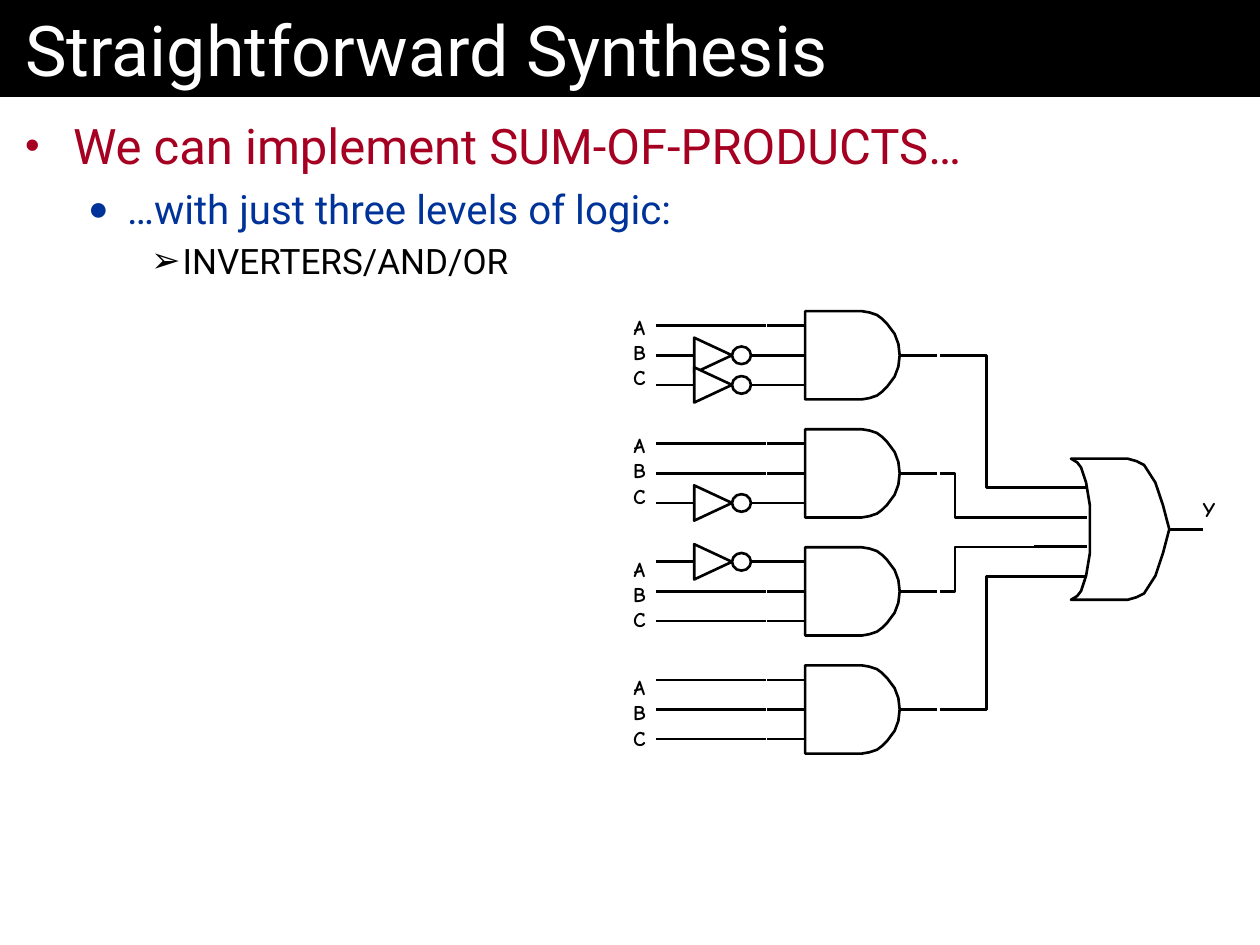
from lxml import etree
from pptx import Presentation
from pptx.dml.color import RGBColor
from pptx.enum.shapes import MSO_CONNECTOR, MSO_SHAPE
from pptx.enum.text import MSO_ANCHOR, MSO_AUTO_SIZE, PP_ALIGN
from pptx.oxml.ns import qn
from pptx.util import Inches, Pt

STRAIGHT = MSO_CONNECTOR.STRAIGHT
OVAL = MSO_SHAPE.OVAL
MIDDLE = MSO_ANCHOR.MIDDLE
NO_FIT = MSO_AUTO_SIZE.NONE
LEFT, CENTER = PP_ALIGN.LEFT, PP_ALIGN.CENTER

COLORS = {"black": "000000", "white": "FFFFFF", "red": "A50021", "blue": "003399"}
C = {name: RGBColor.from_string(value) for name, value in COLORS.items()}

prs = Presentation()
prs.slide_width, prs.slide_height = Inches(10), Inches(7.5)
s = prs.slides.add_slide(prs.slide_layouts[5])


def add_wire(x1, y1, x2, y2):
    wire = s.shapes.add_connector(STRAIGHT, Inches(x1), Inches(y1), Inches(x2), Inches(y2))
    wire.line.color.rgb = C["black"]
    wire.line.width = Pt(1.5)
    etree.SubElement(wire._element.spPr, qn("a:effectLst"))


def add_outline(points, close=True, fill=None):
    pts = [(Inches(x), Inches(y)) for x, y in points]
    fb = s.shapes.build_freeform(*pts[0])
    fb.add_line_segments(pts[1:], close=close)
    sp = fb.convert_to_shape()
    sp.shadow.inherit = False
    if fill:
        sp.fill.solid()
        sp.fill.fore_color.rgb = C[fill]
    else:
        sp.fill.background()
    sp.line.color.rgb = C["black"]
    sp.line.width = Pt(1.5)


title = s.shapes.title
title.left, title.top, title.width, title.height = 0, 0, Inches(10), Inches(0.77)
title.fill.solid()
title.fill.fore_color.rgb = C["black"]
tf = title.text_frame
tf.auto_size = NO_FIT
tf.vertical_anchor = MIDDLE
tf.margin_left = tf.margin_right = Inches(0.2)
p = tf.paragraphs[0]
p.alignment = LEFT
r = p.add_run()
r.text = "Straightforward Synthesis"
r.font.name, r.font.size, r.font.color.rgb = "Roboto", Pt(40), C["white"]

body = s.shapes.add_textbox(0, Inches(0.77), Inches(10), Inches(6.73))
tf = body.text_frame
tf.word_wrap = True
tf.margin_left = tf.margin_right = Inches(0.2)
tf.margin_top = tf.margin_bottom = Inches(0.15)
bullets = [
    ("We can implement SUM-OF-PRODUCTS…", 28, "red", "•", 85, 0.38, 0.38, 0),
    ("…with just three levels of logic:", 23, "blue", "●", 85, 0.81, 0.31, 5.5),
    ("INVERTERS/AND/OR", 20, "black", "➢", 100, 1.25, 0.25, 4),
]
for level, (text, size, color, char, percent, margin, hang, before) in enumerate(bullets):
    p = tf.add_paragraph() if level else tf.paragraphs[0]
    p.level = level
    p.space_before = Pt(before)
    pPr = p._p.get_or_add_pPr()
    pPr.set("marL", str(Inches(margin)))
    pPr.set("indent", str(-Inches(hang)))
    bullet_color = etree.SubElement(pPr, qn("a:buClr"))
    etree.SubElement(bullet_color, qn("a:srgbClr"), val=COLORS[color])
    etree.SubElement(pPr, qn("a:buSzPct"), val=str(percent * 1000))
    etree.SubElement(pPr, qn("a:buFont"), typeface="Arial")
    etree.SubElement(pPr, qn("a:buChar"), char=char)
    r = p.add_run()
    r.text = text
    r.font.name, r.font.size, r.font.color.rgb = "Roboto", Pt(size), C[color]

PITCH = 0.235
GATE_X, OR_Y = 6.39, 4.2
and_half = [(0.75, 0), (0.74, 0.09), (0.71, 0.17), (0.65, 0.25), (0.61, 0.29),
            (0.57, 0.32), (0.51, 0.34), (0.45, 0.35), (0, 0.35)]
or_half = [(9.28, 0), (9.23, 0.19), (9.17, 0.37), (9.08, 0.51), (9.02, 0.54), (8.95, 0.56),
           (8.5, 0.56), (8.55, 0.53), (8.58, 0.49), (8.62, 0.37), (8.65, 0.19), (8.65, 0)]

add_outline([(x, OR_Y - y) for x, y in or_half]
            + [(x, OR_Y + y) for x, y in or_half[-2:0:-1]], fill="white")
add_wire(9.28, OR_Y, 9.55, OR_Y)

inverted_inputs = [{1, 2}, {2}, {0}, set()]
elbows = [(7.83, 8.21), (7.58, 8.33), (7.58, 8.21), (7.83, 8.21)]
label_tops = [2.44, 3.38, 4.36, 5.3]
labels = [("Y", 9.36, 3.89, 0.47, 0.3)]

for i, (inverted, (bend_x, end_x)) in enumerate(zip(inverted_inputs, elbows)):
    gate_y = 2.82 + 4 * PITCH * i - 0.003 * i
    or_input_y = 3.87 + PITCH * i
    add_outline([(GATE_X + x, gate_y - y) for x, y in and_half]
                + [(GATE_X + x, gate_y + y) for x, y in and_half[:0:-1]])
    add_wire(7.14, gate_y, 7.44, gate_y)
    add_outline([(7.46, gate_y), (bend_x, gate_y), (bend_x, or_input_y), (end_x, or_input_y)],
                close=False)
    add_wire(8.21, or_input_y, 8.63, or_input_y)
    for j in range(3):
        y = gate_y + (j - 1) * PITCH
        add_wire(6.09, y, GATE_X, y)
        if j in inverted:
            add_outline([(5.81, y), (5.51, y - 0.14), (5.51, y + 0.14)], fill="white")
            add_wire(5.21, y, 5.51, y)
            add_wire(5.81, y, 6.11, y)
            bubble = s.shapes.add_shape(OVAL, Inches(5.81), Inches(y - 0.07),
                                        Inches(0.15), Inches(0.14))
            bubble.shadow.inherit = False
            bubble.fill.solid()
            bubble.fill.fore_color.rgb = C["white"]
            bubble.line.color.rgb = C["black"]
            bubble.line.width = Pt(1.5)
        else:
            add_wire(5.21, y, 6.08, y)
    labels.append(("ABC", 4.83, label_tops[i], 0.49, 0.71))

for letters, x, y, w, h in labels:
    box = s.shapes.add_textbox(Inches(x), Inches(y), Inches(w), Inches(h))
    tf = box.text_frame
    tf.word_wrap = False
    tf.vertical_anchor = MIDDLE
    for k, letter in enumerate(letters):
        p = tf.add_paragraph() if k else tf.paragraphs[0]
        p.alignment = CENTER
        r = p.add_run()
        r.text = letter
        r.font.name, r.font.size, r.font.bold = "Comic Neue", Pt(12), True
        r.font.color.rgb = C["black"]

prs.save("out.pptx")
